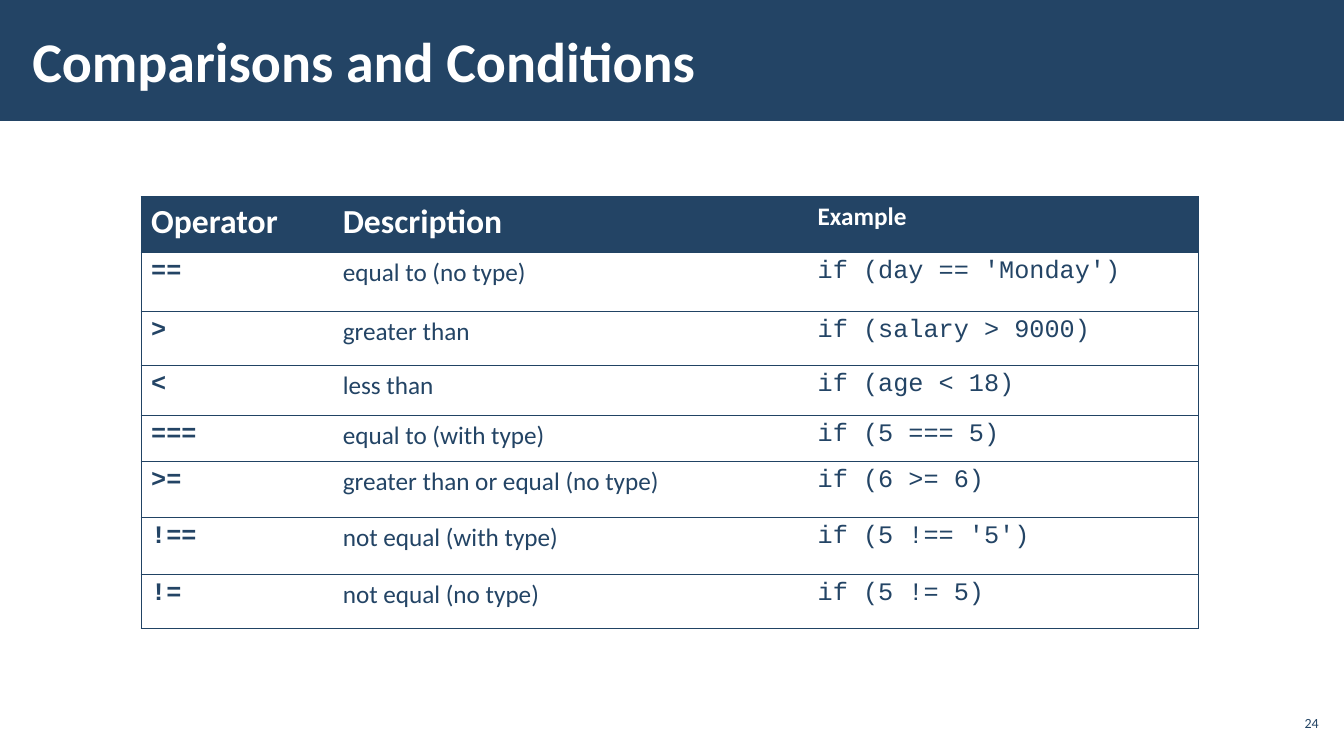
import dataclasses

import lxml.etree
import pptx
import pptx.dml.color
import pptx.enum.shapes
import pptx.enum.text
import pptx.oxml.ns
import pptx.util

Inches = pptx.util.Inches
ANCHOR = pptx.enum.text.MSO_ANCHOR
ALIGN = pptx.enum.text.PP_ALIGN


@dataclasses.dataclass(frozen=True)
class Theme:
    navy: str = "234465"
    border: str = "214364"
    white: str = "FFFFFF"
    text_font: str = "Calibri"
    code_font: str = "Courier New"
    title_size: int = 40
    heading_size: int = 24
    body_size: int = 18
    number_size: int = 10
    border_width: float = 0.75


THEME = Theme()

HEADINGS = [
    ("Operator", THEME.heading_size),
    ("Description", THEME.heading_size),
    ("Example", THEME.body_size),
]
COMPARISONS = [
    ("==", "equal to (no type)", "if (day == 'Monday')"),
    (">", "greater than", "if (salary > 9000)"),
    ("<", "less than", "if (age < 18)"),
    ("===", "equal to (with type)", "if (5 === 5)"),
    (">=", "greater than or equal (no type)", "if (6 >= 6)"),
    ("!==", "not equal (with type)", "if (5 !== '5')"),
    ("!=", "not equal (no type)", "if (5 != 5)"),
]
COLUMN_WIDTHS = [1.9, 4.71, 3.88]
ROW_HEIGHTS = [0.55, 0.59, 0.54, 0.49, 0.46, 0.55, 0.57, 0.54]
COLUMN_FORMATS = [
    {"name": THEME.code_font, "bold": True},
    {"name": THEME.text_font, "bold": False},
    {"name": THEME.code_font, "bold": False},
]


def set_attributes(target, values):
    for name, value in values.items():
        setattr(target, name, value)


def write_text(text_frame, text, size, color, font_format, alignment=ALIGN.LEFT):
    paragraph = text_frame.paragraphs[0]
    paragraph.alignment = alignment
    run = paragraph.add_run()
    run.text = text
    set_attributes(run.font, {"size": pptx.util.Pt(size), **font_format})
    run.font.color.rgb = pptx.dml.color.RGBColor.from_string(color)


def format_frame(text_frame, side_margin):
    set_attributes(text_frame, {
        "word_wrap": True,
        "auto_size": pptx.enum.text.MSO_AUTO_SIZE.NONE,
        "vertical_anchor": ANCHOR.MIDDLE,
        "margin_left": Inches(side_margin),
        "margin_right": Inches(side_margin),
        "margin_top": Inches(0.04),
        "margin_bottom": Inches(0.04),
    })


def fill_solid(fill, color):
    fill.solid()
    fill.fore_color.rgb = pptx.dml.color.RGBColor.from_string(color)


def add_band(slide, width):
    band = slide.shapes.add_shape(
        pptx.enum.shapes.MSO_SHAPE.RECTANGLE, 0, 0, width, Inches(1.2))
    band.shadow.inherit = False
    fill_solid(band.fill, THEME.navy)
    band.line.fill.background()
    slide.shapes.title._element.addprevious(band._element)


def add_title(slide, text):
    title = slide.shapes.title
    set_attributes(title, {
        "left": Inches(0.2), "top": Inches(0.11),
        "width": Inches(10.4), "height": Inches(0.97),
    })
    format_frame(title.text_frame, 0.12)
    write_text(title.text_frame, text, THEME.title_size, THEME.white,
               {"name": THEME.text_font, "bold": True})


def add_slide_number(slide, text):
    box = slide.shapes.add_textbox(
        Inches(12.65), Inches(7), Inches(0.47), Inches(0.34))
    format_frame(box.text_frame, 0.04)
    write_text(box.text_frame, text, THEME.number_size, THEME.navy,
               {"name": THEME.text_font}, ALIGN.RIGHT)


def set_borders(cell, visible_sides):
    qn = pptx.oxml.ns.qn
    properties = cell._tc.get_or_add_tcPr()
    for position, side in enumerate("LRTB"):
        line = lxml.etree.Element(qn(f"a:ln{side}"))
        if side in visible_sides:
            line.set("w", str(int(pptx.util.Pt(THEME.border_width))))
            fill = lxml.etree.SubElement(line, qn("a:solidFill"))
            lxml.etree.SubElement(fill, qn("a:srgbClr"), val=THEME.border)
        else:
            lxml.etree.SubElement(line, qn("a:noFill"))
        properties.insert(position, line)


def fill_cell(cell, text, size, color, background, font_format):
    cell.vertical_anchor = ANCHOR.TOP
    fill_solid(cell.fill, background)
    write_text(cell.text_frame, text, size, color, font_format)


def add_comparison_table(slide):
    table = slide.shapes.add_table(
        len(ROW_HEIGHTS), len(COLUMN_WIDTHS), Inches(1.4), Inches(1.95),
        Inches(sum(COLUMN_WIDTHS)), Inches(sum(ROW_HEIGHTS))).table
    table.horz_banding = False
    for column, width in zip(table.columns, COLUMN_WIDTHS):
        column.width = Inches(width)
    for row, height in zip(table.rows, ROW_HEIGHTS):
        row.height = Inches(height)
        for cell, sides in zip(row.cells, ("LTB", "TB", "RTB")):
            set_borders(cell, sides)
    for index, (text, size) in enumerate(HEADINGS):
        fill_cell(table.cell(0, index), text, size, THEME.white, THEME.navy,
                  {"name": THEME.text_font, "bold": True})
    for row_index, texts in enumerate(COMPARISONS, 1):
        for index, (text, font_format) in enumerate(zip(texts, COLUMN_FORMATS)):
            fill_cell(table.cell(row_index, index), text, THEME.body_size,
                      THEME.navy, THEME.white, font_format)


def main():
    presentation = pptx.Presentation()
    presentation.slide_width = Inches(13.33)
    presentation.slide_height = Inches(7.5)
    slide = presentation.slides.add_slide(presentation.slide_layouts[5])
    add_band(slide, presentation.slide_width)
    add_title(slide, "Comparisons and Conditions")
    add_comparison_table(slide)
    add_slide_number(slide, "24")
    presentation.save("out.pptx")


if __name__ == "__main__":
    main()
